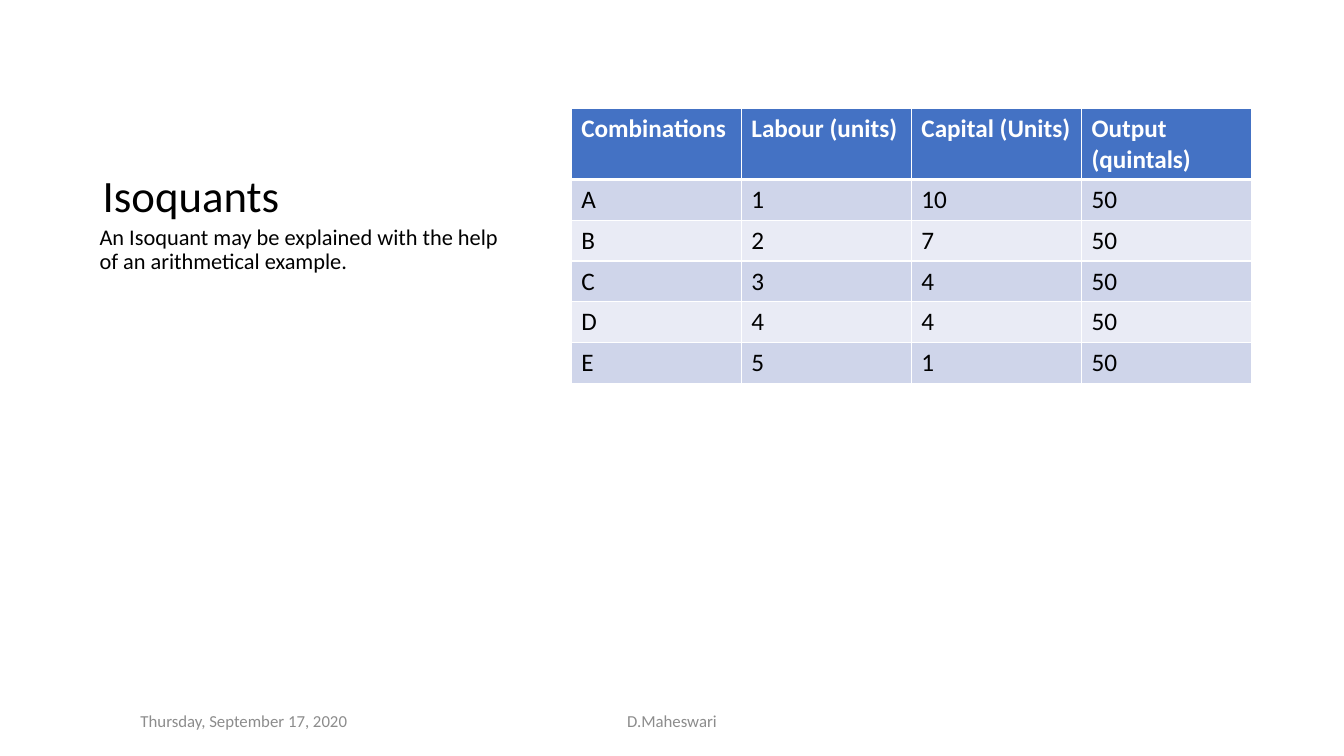
from dataclasses import dataclass

from lxml.etree import SubElement
from pptx import Presentation
from pptx.dml.color import RGBColor as Rgb
from pptx.enum.text import MSO_ANCHOR as Anchor, PP_ALIGN as Align
from pptx.oxml.ns import qn
from pptx.util import Inches, Pt


@dataclass(frozen=True)
class Theme:
    font: str = "Calibri"
    ink: str = "000000"
    muted: str = "8C8C8C"
    white: str = "FFFFFF"
    header: str = "4472C4"
    bands: tuple = ("CFD5EA", "E9EBF5")
    title_size: int = 32
    table_size: int = 18
    body_size: int = 16
    footer_size: int = 12


THEME = Theme()
WIDTH, HEIGHT = Inches(13.333), Inches(7.5)
FOOTER_TOP, FOOTER_HEIGHT = 92.67, 5.33

ROWS = [
    ("Combinations", "Labour (units)", "Capital (Units)", "Output (quintals)"),
    ("A", "1", "10", "50"),
    ("B", "2", "7", "50"),
    ("C", "3", "4", "50"),
    ("D", "4", "4", "50"),
    ("E", "5", "1", "50"),
]


def place(left, top, width, height):
    """Turn percentages of the slide into lengths."""
    return (int(WIDTH * left / 100), int(HEIGHT * top / 100),
            int(WIDTH * width / 100), int(HEIGHT * height / 100))


def style_text(para, size, color, bold=False):
    for span in para.runs:
        span.font.name = THEME.font
        span.font.size = Pt(size)
        span.font.bold = bold
        span.font.color.rgb = Rgb.from_string(color)


def add_text(page, area, text, size, color, anchor=Anchor.TOP,
             align=Align.LEFT, spacing=1.0, before=0):
    frame = page.shapes.add_textbox(*place(*area)).text_frame
    frame.word_wrap = True
    frame.vertical_anchor = anchor
    para = frame.paragraphs[0]
    para.text = text
    para.alignment = align
    para.line_spacing = spacing
    para.space_before = Pt(before)
    style_text(para, size, color)


def add_borders(cell, bottom_width):
    """Borders come before the fill in the cell properties."""
    properties = cell._tc.get_or_add_tcPr()
    sides = {"lnL": 1, "lnR": 1, "lnT": 1, "lnB": bottom_width}
    for side, width in sides.items():
        line = SubElement(properties, qn(f"a:{side}"), w=str(Pt(width)))
        fill = SubElement(line, qn("a:solidFill"))
        SubElement(fill, qn("a:srgbClr"), val=THEME.white)


def style_cell(cell, text, fill, color, bold, bottom_width):
    add_borders(cell, bottom_width)
    cell.fill.solid()
    cell.fill.fore_color.rgb = Rgb.from_string(fill)
    cell.text = text
    style_text(cell.text_frame.paragraphs[0], THEME.table_size, color, bold)


def add_data_table(page, left, top, width, row_height, rows):
    area = place(left, top, width, row_height * len(rows))
    table = page.shapes.add_table(len(rows), len(rows[0]), *area).table
    for r, values in enumerate(rows):
        is_header = r == 0
        fill = THEME.header if is_header else THEME.bands[(r - 1) % 2]
        color = THEME.white if is_header else THEME.ink
        for c, value in enumerate(values):
            style_cell(table.cell(r, c), value, fill, color, is_header,
                       3 if is_header else 1)


def add_footer(page, left, width, text):
    add_text(page, (left, FOOTER_TOP, width, FOOTER_HEIGHT), text,
             THEME.footer_size, THEME.muted, Anchor.MIDDLE, Align.CENTER)


def main():
    deck = Presentation()
    deck.slide_width, deck.slide_height = WIDTH, HEIGHT
    page = deck.slides.add_slide(deck.slide_layouts[6])

    # Title and explanation
    add_text(page, (6.9, 6.67, 32.25, 23.33), "Isoquants",
             THEME.title_size, THEME.ink, Anchor.BOTTOM, spacing=0.9)
    add_text(page, (6.67, 29.2, 32.25, 55.6),
             "An Isoquant may be explained with the help of an arithmetical example.",
             THEME.body_size, THEME.ink, spacing=0.9, before=10)

    # Input combinations
    add_data_table(page, 42.5, 14.4, 50.63, 5.4, ROWS)

    # Date and author
    add_footer(page, 6.9, 22.5, "Thursday, September 17, 2020")
    add_footer(page, 33.13, 33.75, "D.Maheswari")

    deck.save("out.pptx")


if __name__ == "__main__":
    main()
